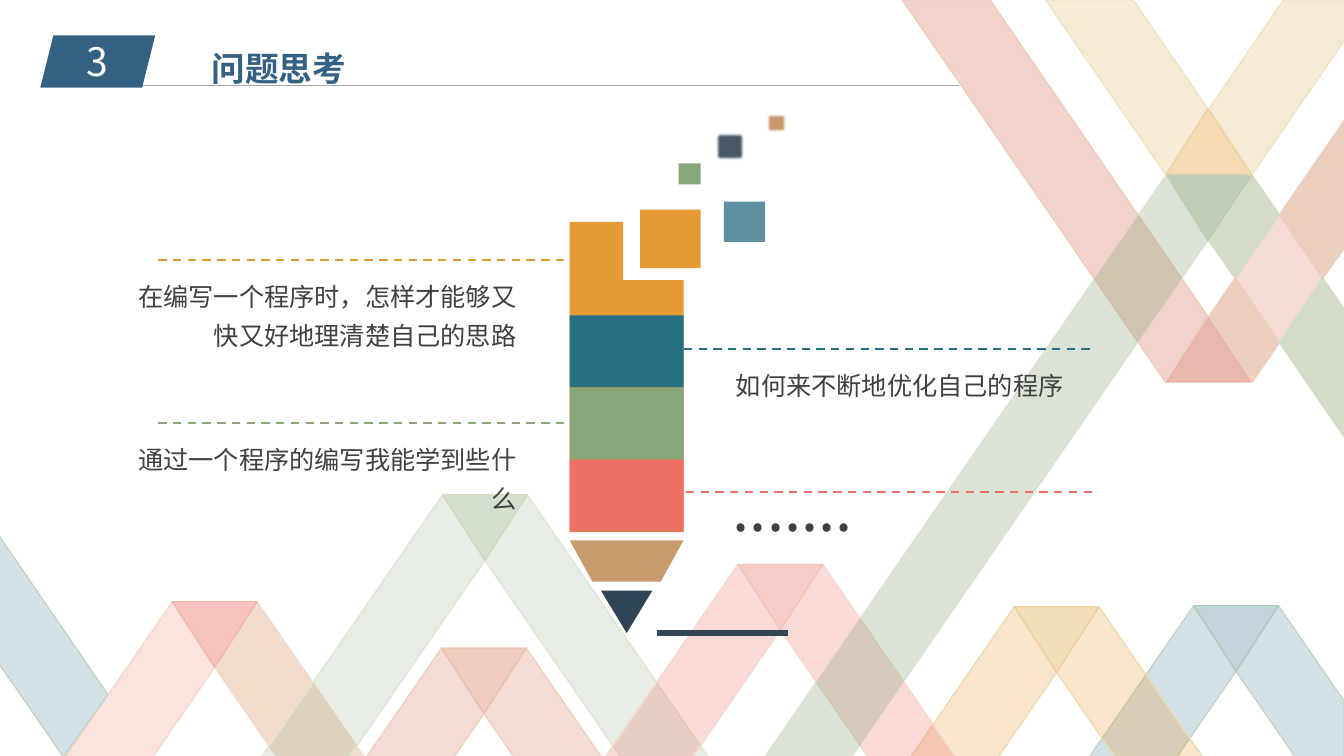
import pptx
import pptx.dml.color
import pptx.enum.dml
import pptx.enum.shapes
import pptx.enum.text
import pptx.oxml.ns
import pptx.util
from lxml import etree

Inches = pptx.util.Inches
Pt = pptx.util.Pt
RGB = pptx.dml.color.RGBColor
SHAPE = pptx.enum.shapes.MSO_SHAPE
ALIGN = pptx.enum.text.PP_ALIGN
FONT = "Noto Sans CJK SC"
WIDE, HIGH = 13.33, 7.5
FOOT = 7.54  # where the ribbons run out
SLOPE = 0.69  # sideways run of a ribbon per inch of height
CAP_W, CAP_H = 0.84, 0.65

WHITE = RGB(0xFF, 0xFF, 0xFF)
GREY = RGB(0xA6, 0xA6, 0xA6)
INK = RGB(0x40, 0x40, 0x40)
BLUE = RGB(0x34, 0x61, 0x82)
NAVY = RGB(0x32, 0x45, 0x54)
TEAL = RGB(0x28, 0x71, 0x84)
STEEL = RGB(0x50, 0x87, 0x99)
GREEN = RGB(0x89, 0xA6, 0x7A)
MOSS = RGB(0x88, 0xA3, 0x78)
SAGE = RGB(0xA2, 0xB8, 0x94)
CORAL = RGB(0xED, 0x6F, 0x65)
RED = RGB(0xED, 0x52, 0x49)
PINK = RGB(0xEE, 0x8F, 0x82)
RUST = RGB(0xD5, 0x70, 0x53)
AMBER = RGB(0xE4, 0x9B, 0x35)
HONEY = RGB(0xE7, 0xB0, 0x5E)
TAN = RGB(0xC7, 0x9B, 0x6C)
SAND = RGB(0xF1, 0xDB, 0xCC)
CREAM = RGB(0xEF, 0xE3, 0xC2)
PEACH = RGB(0xEB, 0xCE, 0xBC)
MINT = RGB(0xD3, 0xDC, 0xC6)
ROSE = RGB(0xEA, 0xD3, 0xBF)
STRAW = RGB(0xEB, 0xDC, 0xB1)
GOLD = RGB(0xEB, 0xD3, 0xA2)
MIST = RGB(0xC3, 0xD4, 0xC3)
POND = RGB(0xB5, 0xCA, 0xC1)
LEAF = RGB(0xB3, 0xC4, 0xA5)
PALE = RGB(0xE0, 0xE6, 0xD3)
LIME = RGB(0xCF, 0xDA, 0xC2)
BLUSH = RGB(0xEF, 0xBB, 0xAB)
SHELL = RGB(0xF2, 0xC7, 0xBA)
CLAY = RGB(0xE6, 0xC6, 0xB1)
BRICK = RGB(0xDF, 0x9B, 0x83)

# left and top of the cap; fill, opacity and line of left leg, right leg, cap
PEAKS = [
    (1.71, 5.97, (PINK, 25, SAND), (SAND, 100, SAND), (RED, 35, BLUSH)),
    (4.39, 4.91, (SAGE, 25, PALE), (SAGE, 25, PALE), (GREEN, 35, LIME)),
    (4.38, 6.43, (RUST, 25, ROSE), (RUST, 25, ROSE), (RUST, 35, CLAY)),
    (11.84, 6.01, (STEEL, 25, MIST), (STEEL, 25, MIST), (STEEL, 35, POND)),
    (10.06, 6.02, (AMBER, 25, STRAW), (AMBER, 25, STRAW), (AMBER, 35, GOLD)),
    (7.32, 5.6, (CORAL, 25, SAND), (CORAL, 25, SAND), (CORAL, 35, SHELL)),
]
# corners, fill, opacity, line, line opacity
BANDS = [
    ([(-0.04, 5.27), (1.07, 6.89), (0.63, 7.51), (-0.04, 6.54)], STEEL, 25, MIST, 100),
    ([(11.98, 3.14), (12.41, 3.79), (11.57, 3.79)], RUST, 49, BRICK, 49),
    ([(10.37, 0), (11.24, 0), (11.98, 1.08), (11.56, 1.73)], HONEY, 25, CREAM, 100),
    ([(12.73, 0), (13.35, 0), (13.35, 0.38), (12.42, 1.73), (11.99, 1.08)], CREAM, 71, CREAM, 100),
    ([(12.69, 2.13), (13.12, 2.76), (12.69, 3.4), (12.25, 2.76)], RUST, 25, ROSE, 100),
    ([(13.35, 1.17), (13.35, 2.44), (13.12, 2.76), (12.69, 2.13)], PEACH, 100, PEACH, 100),
    ([(12.42, 1.74), (12.69, 2.13), (12.25, 2.76), (11.99, 2.39)], MINT, 100, MINT, 100),
    ([(12.25, 2.76), (12.69, 3.4), (12.42, 3.79), (11.99, 3.14)], PEACH, 100, PEACH, 100),
    ([(13.12, 2.76), (13.35, 3.09), (13.35, 4.36), (12.69, 3.4)], MINT, 100, MINT, 100),
    ([(11.98, 1.08), (12.41, 1.73), (11.57, 1.73)], AMBER, 36, GOLD, 100),
    ([(11.98, 2.39), (12.41, 1.74), (11.57, 1.74)], MOSS, 53, LEAF, 53),
    ([(8.95, 0), (9.82, 0), (11.98, 3.14), (11.56, 3.79)], RUST, 30, PEACH, 100),
    ([(11.56, 1.74), (11.98, 2.39), (8.43, 7.54), (7.56, 7.54)], MOSS, 30, MINT, 30),
]


def fade(fill, color, alpha):
    """Fill with a colour at an opacity in percent."""
    fill.solid()
    fill.fore_color.rgb = color
    if alpha < 100:
        tone = fill._xPr.find(".//" + pptx.oxml.ns.qn("a:srgbClr"))
        etree.SubElement(tone, pptx.oxml.ns.qn("a:alpha"), val=str(alpha * 1000))


def paint(shape, color, alpha=100, edge=None, edge_alpha=100):
    shape.shadow.inherit = False
    fade(shape.fill, color, alpha)
    if edge is None:
        shape.line.fill.background()
    else:
        fade(shape.line.fill, edge, edge_alpha)
        shape.line.width = Pt(1)


def outline(slide, points, *look):
    """Draw a closed shape; the builder takes whole units, so use EMU."""
    spots = [(Inches(x), Inches(y)) for x, y in points]
    form = slide.shapes.build_freeform(*spots[0])
    form.add_line_segments(spots[1:], close=True)
    paint(form.convert_to_shape(), *look)


def block(slide, kind, x, y, w, h, color, alpha=100):
    shape = slide.shapes.add_shape(kind, Inches(x), Inches(y), Inches(w), Inches(h))
    paint(shape, color, alpha)
    return shape


def rule(slide, x, y, end, color, width, dash=False):
    line = slide.shapes.add_connector(pptx.enum.shapes.MSO_CONNECTOR.STRAIGHT,
                                      Inches(x), Inches(y), Inches(end), Inches(y))
    line.line.color.rgb = color
    line.line.width = Pt(width)
    if dash:
        line.line.dash_style = pptx.enum.dml.MSO_LINE.DASH
    etree.SubElement(line._element.spPr, pptx.oxml.ns.qn("a:effectLst"))


def write(shape, text, size, color, align=ALIGN.LEFT, space=1.0, bold=False):
    frame = shape.text_frame
    frame.word_wrap = True
    frame.auto_size = pptx.enum.text.MSO_AUTO_SIZE.NONE
    frame.vertical_anchor = pptx.enum.text.MSO_ANCHOR.TOP
    para = frame.paragraphs[0]
    para.alignment = align
    para.line_spacing = space
    run = para.add_run()
    run.text = text
    run.font.size = Pt(size)
    run.font.bold = bold
    run.font.name = FONT
    run.font.color.rgb = color
    etree.SubElement(run.font._element, pptx.oxml.ns.qn("a:ea"), typeface=FONT)


def label(slide, x, y, w, h, *args, **style):
    box = slide.shapes.add_textbox(Inches(x), Inches(y), Inches(w), Inches(h))
    write(box, *args, **style)


def peak(slide, x, y, left, right, cap):
    """Two legs folded under a cap, cut at the slide's right edge."""
    mid, tip, end = x + CAP_W / 2, y + CAP_H, x + CAP_W
    run, inner = (FOOT - y) * SLOPE, (FOOT - tip) * SLOPE
    outline(slide, [(x, y), (mid, tip), (mid - inner, FOOT), (x - run, FOOT)], *left)
    leg = [(mid, tip), (end, y)]
    if end + run > WIDE:
        leg += [(WIDE, y + (WIDE - end) / SLOPE), (WIDE, FOOT)]
    else:
        leg.append((end + run, FOOT))
    outline(slide, leg + [(mid + inner, FOOT)], *right)
    outline(slide, [(x, y), (end, y), (mid, tip)], *cap)


def header(slide, x, y):
    title = slide.shapes.title
    title.left, title.top = Inches(x + 1.6), Inches(y - 0.12)
    title.width, title.height = Inches(1.8), Inches(0.71)
    write(title, "问题思考", 24, BLUE, space=1.5, bold=True)
    rule(slide, x + 0.47, y + 0.5, x + 9.11, GREY, 0.5)
    block(slide, SHAPE.PARALLELOGRAM, x, y, 1.14, 0.52, BLUE)
    label(slide, x + 0.01, y - 0.03, 1.12, 0.57, "3", 28, WHITE, ALIGN.CENTER)


def pencil(slide, x, y):
    wide, step = 1.13, 0.715
    tip = block(slide, SHAPE.ISOSCELES_TRIANGLE, x + 0.31, y + 3.66, 0.51, 0.42, NAVY)
    tip.rotation = 180
    block(slide, SHAPE.FLOWCHART_MANUAL_OPERATION, x, y + 3.16, wide, 0.41, TAN)
    outline(slide, [(x, y), (x + 0.53, y), (x + 0.53, y + 0.58), (x + wide, y + 0.58),
                    (x + wide, y + 3.08), (x, y + 3.08)], AMBER)
    for i, color in enumerate((TEAL, GREEN, CORAL)):
        block(slide, SHAPE.RECTANGLE, x, y + 0.93 + i * step, wide, step, color)
    for dx, dy, w, h, color, alpha, soft in (
            (0.7, -0.12, 0.6, 0.58, AMBER, 100, False),
            (1.08, -0.58, 0.22, 0.21, GREEN, 100, False),
            (1.94, -1.08, 0.22, 0.21, TAN, 100, True),
            (1.44, -0.89, 0.3, 0.29, NAVY, 89, True),
            (1.53, -0.2, 0.41, 0.4, STEEL, 92, False)):
        bit = block(slide, SHAPE.RECTANGLE, x + dx, y + dy, w, h, color, alpha)
        if soft:
            effect = bit._element.spPr.find(pptx.oxml.ns.qn("a:effectLst"))
            etree.SubElement(effect, pptx.oxml.ns.qn("a:softEdge"), rad=str(Pt(2)))
    rule(slide, x + 0.87, y + 4.08, x + 2.17, NAVY, 4.5)


def note(slide, x, y, color, text, align):
    """A dashed line with its text below."""
    rule(slide, x, y, x + 4.34, color, 1.5, dash=True)
    inset = -0.38 if align == ALIGN.RIGHT else 0.71
    label(slide, x + inset, y + 0.07, 4.03, 0.89, text, 18, INK, align, 1.3)


def main():
    deck = pptx.Presentation()
    deck.slide_width, deck.slide_height = Inches(WIDE), Inches(HIGH)
    slide = deck.slides.add_slide(deck.slide_layouts[5])
    for fold in PEAKS:
        peak(slide, *fold)
    for band in BANDS:
        outline(slide, *band)
    header(slide, 0.4, 0.35)
    pencil(slide, 5.65, 2.2)
    note(slide, 1.57, 2.58, AMBER, "在编写一个程序时，怎样才能够又快又好地理清楚自己的思路", ALIGN.RIGHT)
    note(slide, 1.57, 4.2, GREEN, "通过一个程序的编写我能学到些什么", ALIGN.RIGHT)
    note(slide, 6.49, 3.46, TEAL, "如何来不断地优化自己的程序", ALIGN.LEFT)
    rule(slide, 10.83, 4.88, 6.5, CORAL, 1.5, dash=True)
    label(slide, 7.17, 4.39, 4.05, 1.06, ".......", 44, INK, space=1.3)
    deck.save("out.pptx")


if __name__ == "__main__":
    main()
